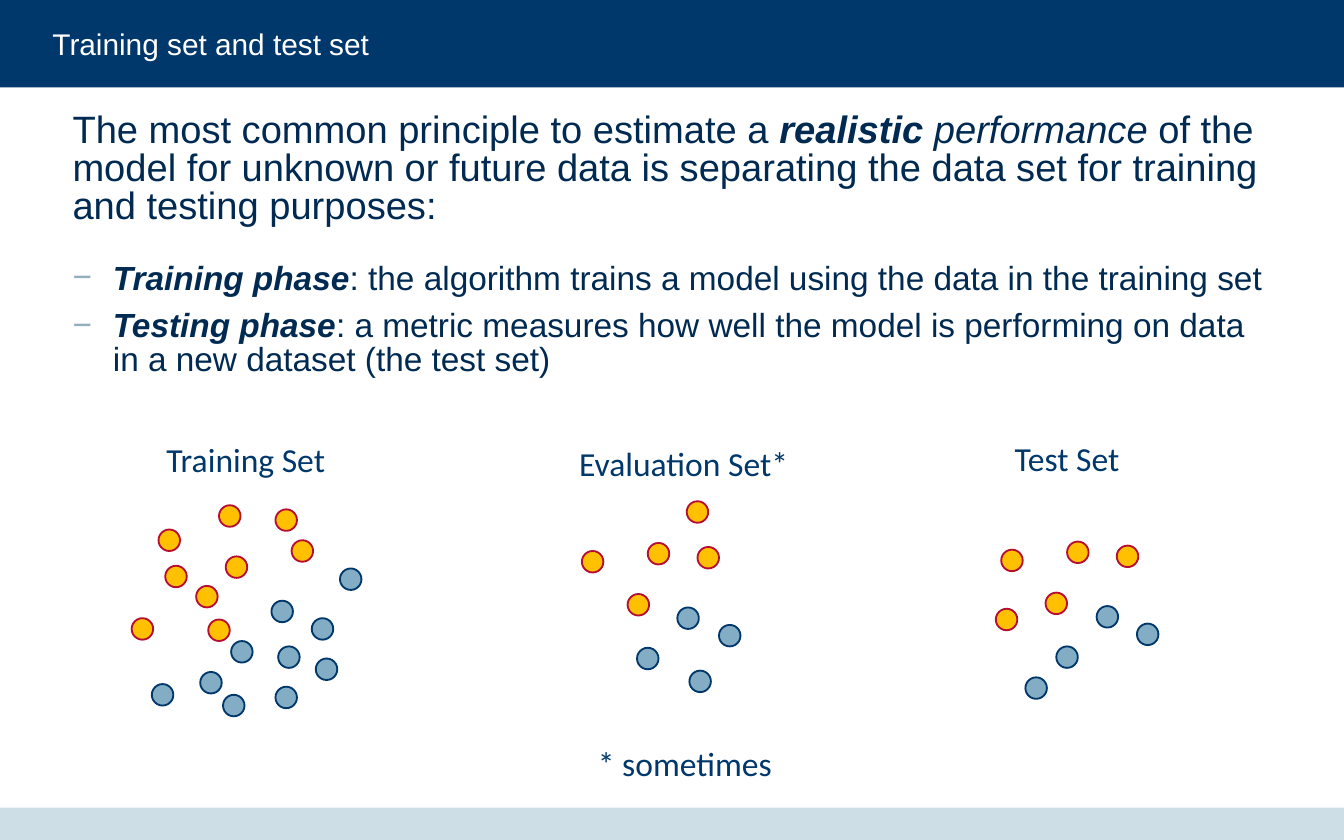
from typing import NamedTuple

from lxml import etree
from pptx import Presentation
from pptx.dml.color import RGBColor
from pptx.enum.shapes import MSO_SHAPE
from pptx.oxml.ns import qn
from pptx.util import Inches, Pt

RECTANGLE = MSO_SHAPE.RECTANGLE
OVAL = MSO_SHAPE.OVAL
COLORS = {
    "navy": "00386C",
    "body": "002A51",
    "pale": "CDDEE7",
    "white": "FFFFFF",
    "bullet": "92AEBC",
    "yellow": "FFC000",
    "red": "B60E32",
    "blue": "83ADC4",
}
DOT_SIZE = 0.16
SLIDE_WIDTH, SLIDE_HEIGHT = 10, 6.25


class Run(NamedTuple):
    text: str
    bold: bool = False
    italic: bool = False


class TextLine(NamedTuple):
    runs: list[Run]
    size: float
    space_before: float = 0
    bullet: bool = False


class DataSet(NamedTuple):
    label: str
    label_box: tuple[float, float, float, float]
    yellow_dots: list[tuple[float, float]]
    blue_dots: list[tuple[float, float]]


BODY = [
    TextLine([
        Run("The most common principle to estimate a "),
        Run("realistic", bold=True, italic=True),
        Run(" performance ", italic=True),
        Run("of the model for unknown or future data is separating the data set "
            "for training and testing purposes:"),
    ], 20.4),
    TextLine([
        Run("Training phase", bold=True, italic=True),
        Run(": the algorithm trains a model using the data in the training set"),
    ], 17.9, 20, True),
    TextLine([
        Run("Testing phase", bold=True, italic=True),
        Run(": a metric measures how well the model is performing on data "
            "in a new dataset (the test set)"),
    ], 17.9, 7.5, True),
]

DATA_SETS = [
    DataSet(
        "Training Set", (1.14, 3.22, 1.4, 0.4),
        [(2.05, 3.79), (1.46, 4.36), (1.23, 4.21), (1.18, 3.94), (1.68, 4.14),
         (1.55, 4.61), (1.63, 3.76), (2.17, 4.02), (0.98, 4.6)],
        [(2.07, 4.81), (2.53, 4.23), (2.35, 4.9), (1.72, 4.77), (2.02, 4.47),
         (2.32, 4.6), (1.49, 5), (1.13, 5.09), (2.05, 5.11), (1.66, 5.17)],
    ),
    DataSet(
        "Evaluation Set*", (4.21, 3.25, 1.78, 0.4),
        [(5.11, 3.73), (4.33, 4.1), (4.67, 4.42), (4.82, 4.04), (5.19, 4.07)],
        [(4.74, 4.82), (5.04, 4.52), (5.35, 4.65), (5.13, 4.99)],
    ),
    DataSet(
        "Test Set", (7.45, 3.21, 0.99, 0.4),
        [(7.41, 4.53), (7.45, 4.09), (7.78, 4.41), (7.94, 4.03), (8.31, 4.06)],
        [(7.86, 4.81), (8.16, 4.51), (8.46, 4.64), (7.63, 5.04)],
    ),
]


def color(name: str) -> RGBColor:
    return RGBColor.from_string(COLORS[name])


def add_bullet(paragraph) -> None:
    properties = paragraph._p.get_or_add_pPr()
    properties.set("marL", str(Inches(0.3)))
    properties.set("indent", str(Inches(-0.3)))
    bullet_color = etree.SubElement(properties, qn("a:buClr"))
    etree.SubElement(bullet_color, qn("a:srgbClr"), val=COLORS["bullet"])
    etree.SubElement(properties, qn("a:buFont"), typeface="Arial")
    etree.SubElement(properties, qn("a:buChar"), char="−")


def add_text(shapes, box: tuple[float, float, float, float], lines: list[TextLine], *,
             font: str = "Calibri", fill: str = "navy", wrap: bool = False,
             inset: bool = True, line_spacing: float = 1.0) -> None:
    frame = shapes.add_textbox(*map(Inches, box)).text_frame
    frame.word_wrap = wrap
    if not inset:
        frame.margin_left = frame.margin_right = 0
        frame.margin_top = frame.margin_bottom = 0
    for index, line in enumerate(lines):
        paragraph = frame.add_paragraph() if index else frame.paragraphs[0]
        paragraph.line_spacing = line_spacing
        paragraph.space_before = Pt(line.space_before)
        if line.bullet:
            add_bullet(paragraph)
        for part in line.runs:
            run = paragraph.add_run()
            run.text = part.text
            run.font.name = font
            run.font.size = Pt(line.size)
            run.font.bold = part.bold
            run.font.italic = part.italic
            run.font.color.rgb = color(fill)


def add_filled_shape(shapes, kind: MSO_SHAPE, box: tuple[float, float, float, float],
                     fill: str, outline: str | None = None) -> None:
    shape = shapes.add_shape(kind, *map(Inches, box))
    shape.shadow.inherit = False
    shape.fill.solid()
    shape.fill.fore_color.rgb = color(fill)
    if outline:
        shape.line.color.rgb = color(outline)
        shape.line.width = Pt(1)
    else:
        shape.line.fill.background()


def add_data_set(slide, data_set: DataSet) -> None:
    shapes = slide.shapes.add_group_shape().shapes
    add_text(shapes, data_set.label_box, [TextLine([Run(data_set.label)], 18)])
    for dots, fill, outline in ((data_set.yellow_dots, "yellow", "red"),
                                (data_set.blue_dots, "blue", "navy")):
        for left, top in dots:
            add_filled_shape(shapes, OVAL, (left, top, DOT_SIZE, DOT_SIZE), fill, outline)


def main() -> None:
    """Build the slide on training, evaluation and test sets."""
    presentation = Presentation()
    presentation.slide_width = Inches(SLIDE_WIDTH)
    presentation.slide_height = Inches(SLIDE_HEIGHT)
    slide = presentation.slides.add_slide(presentation.slide_layouts[6])
    shapes = slide.shapes
    add_filled_shape(shapes, RECTANGLE, (0, 0, SLIDE_WIDTH, 0.65), "navy")
    add_filled_shape(shapes, RECTANGLE, (0, 6.01, SLIDE_WIDTH, 0.24), "pale")
    add_text(shapes, (0.39, 0.19, 9.22, 0.27),
             [TextLine([Run("Training set and test set")], 16)],
             font="Arial", fill="white", wrap=True, inset=False)
    add_text(shapes, (0.54, 0.84, 8.87, 2.29), BODY,
             font="Arial", fill="body", wrap=True, inset=False, line_spacing=0.83)
    for data_set in DATA_SETS:
        add_data_set(slide, data_set)
    add_text(shapes, (4.35, 5.48, 1.51, 0.4), [TextLine([Run("* sometimes")], 18)])
    presentation.save("out.pptx")


if __name__ == "__main__":
    main()
